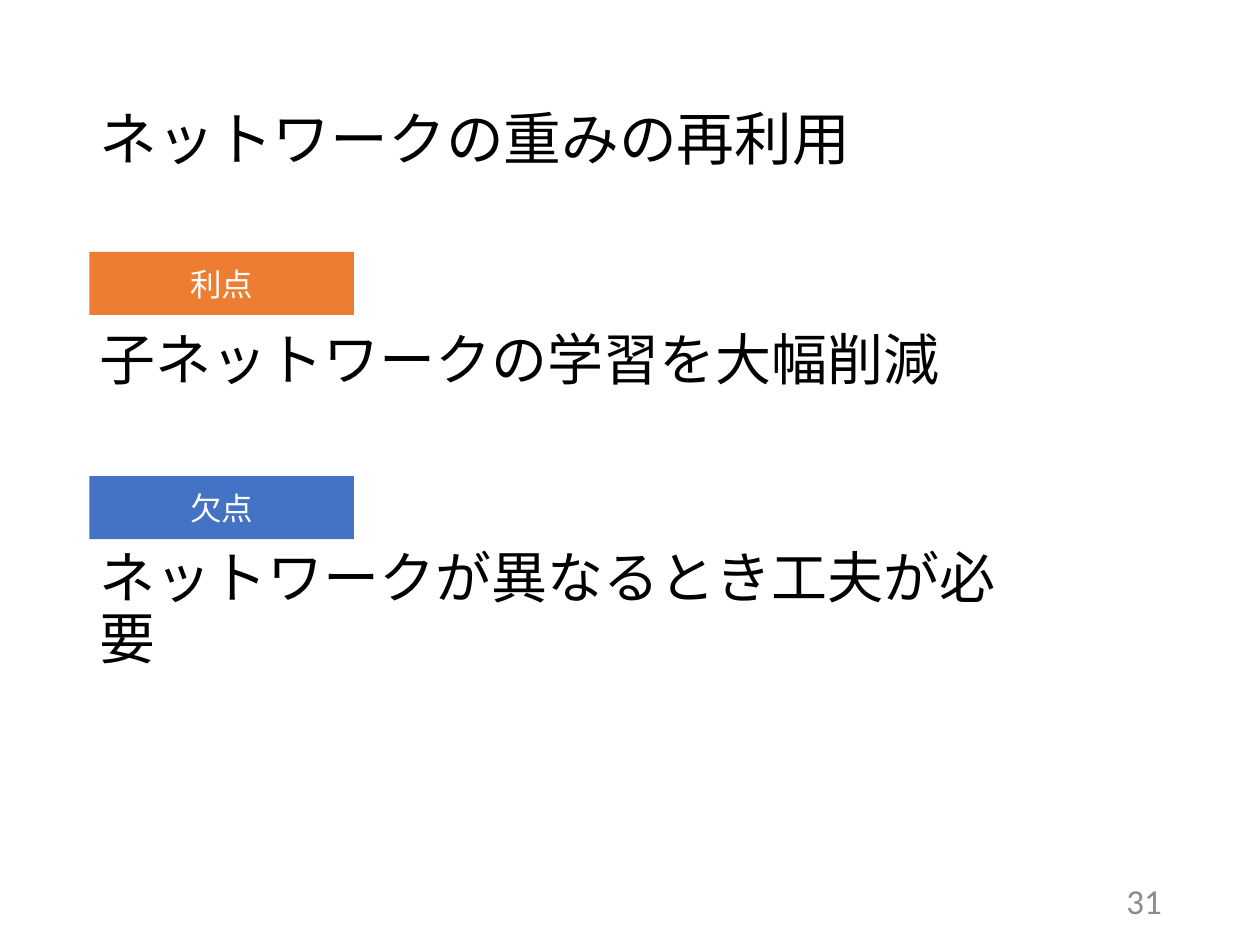
import pptx
import pptx.util
import pptx.dml.color
import pptx.enum.shapes
import pptx.enum.text

Inches, Pt = pptx.util.Inches, pptx.util.Pt
RGBColor = pptx.dml.color.RGBColor
ALIGN = pptx.enum.text.PP_ALIGN
ANCHOR = pptx.enum.text.MSO_ANCHOR

BLACK = RGBColor(0x00, 0x00, 0x00)
WHITE = RGBColor(0xFF, 0xFF, 0xFF)
GRAY = RGBColor(0x8C, 0x8C, 0x8C)
ORANGE = RGBColor(0xED, 0x7D, 0x31)
BLUE = RGBColor(0x44, 0x72, 0xC4)
FONT = "Calibri"

# Content
TITLE = "ネットワークの重みの再利用"
POINTS = ["子ネットワークの学習を大幅削減", "ネットワークが異なるとき工夫が必要"]
LABELS = [("利点", ORANGE), ("欠点", BLUE)]
PAGE_NUMBER = "31"

# Layout
TITLE_AREA = (0.69, 0.4, 8.62, 1.45)
POINTS_AREA = (0.69, 2.59, 7.55, 4.17)
NUMBER_AREA = (7.07, 6.95, 2.25, 0.4)
LABEL_LEFT, LABEL_TOP, LABEL_WIDTH, LABEL_HEIGHT = 0.71, 2, 2.1, 0.5
LABEL_STEP = 1.78
POINT_GAP = 90  # points of space between the two statements


def place(box, area):
    for name, value in zip(("left", "top", "width", "height"), area):
        setattr(box, name, Inches(value))


def write(box, lines, size, color, anchor=ANCHOR.MIDDLE, gap=0, **para_format):
    frame = box.text_frame
    frame.word_wrap = True
    frame.auto_size = pptx.enum.text.MSO_AUTO_SIZE.NONE
    frame.vertical_anchor = anchor
    for index, line in enumerate(lines):
        para = frame.add_paragraph() if index else frame.paragraphs[0]
        para.space_before = Pt(gap if index else 0)
        for name, value in para_format.items():
            setattr(para, name, value)
        span = para.add_run()
        span.text = line
        for name, value in {"name": FONT, "size": Pt(size)}.items():
            setattr(span.font, name, value)
        span.font.color.rgb = color


def main():
    deck = pptx.Presentation()
    deck.slide_width, deck.slide_height = Inches(10), Inches(7.5)
    page = deck.slides.add_slide(deck.slide_layouts[5])

    # Title
    title = page.shapes.title
    place(title, TITLE_AREA)
    write(title, [TITLE], 33, BLACK, alignment=ALIGN.LEFT, line_spacing=0.9)

    # Statements under the labels
    points = page.shapes.add_textbox(*map(Inches, POINTS_AREA))
    write(points, POINTS, 32, BLACK, anchor=ANCHOR.TOP, gap=POINT_GAP,
          alignment=ALIGN.LEFT, line_spacing=0.9)

    # Page number
    number = page.shapes.add_textbox(*map(Inches, NUMBER_AREA))
    write(number, [PAGE_NUMBER], 20, GRAY, alignment=ALIGN.RIGHT)

    # Coloured labels
    for index, (text, color) in enumerate(LABELS):
        area = (LABEL_LEFT, LABEL_TOP + index * LABEL_STEP, LABEL_WIDTH, LABEL_HEIGHT)
        label = page.shapes.add_shape(
            pptx.enum.shapes.MSO_SHAPE.RECTANGLE, *map(Inches, area))
        label.shadow.inherit = False
        label.fill.solid()
        label.fill.fore_color.rgb = color
        label.line.fill.background()
        write(label, [text], 18, WHITE, alignment=ALIGN.CENTER)

    deck.save("out.pptx")


if __name__ == "__main__":
    main()
